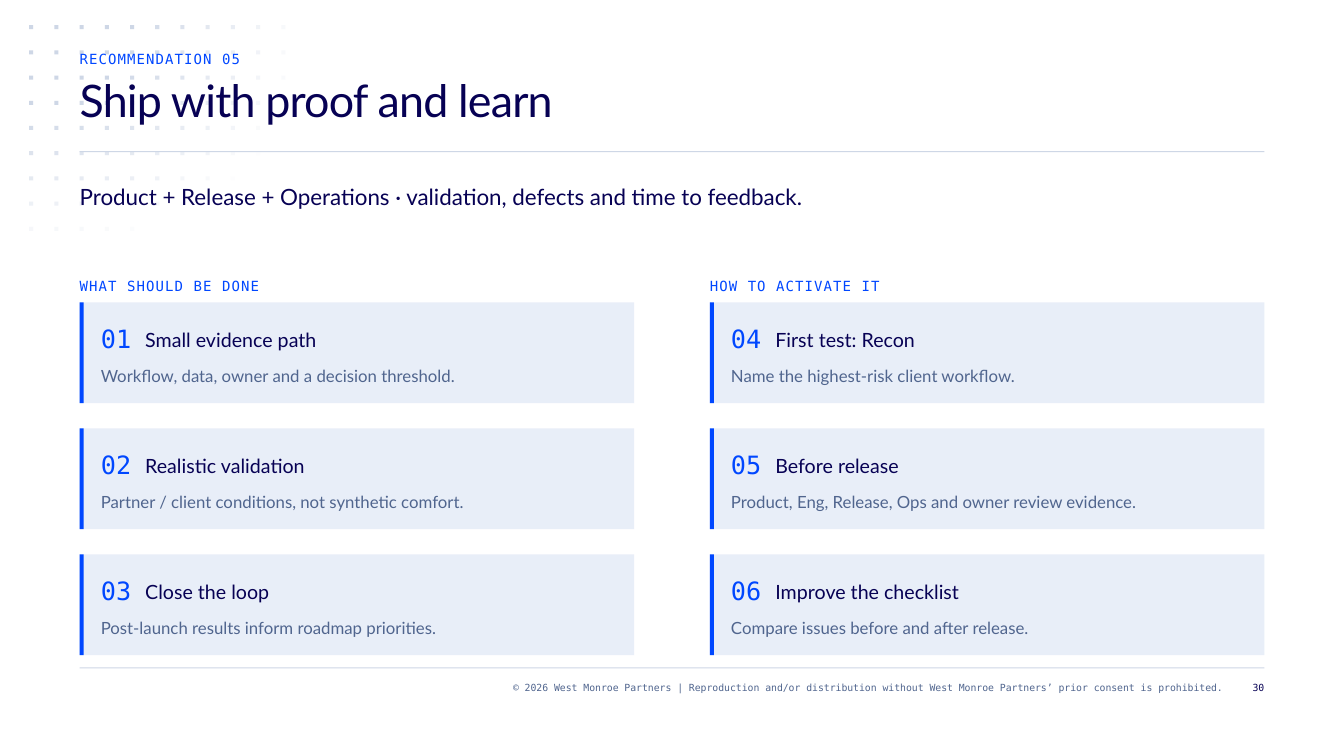
"""Build the slide on shipping with proof and learning from it."""

from dataclasses import dataclass
from math import hypot

from lxml.etree import SubElement
from pptx import Presentation
from pptx.dml.color import RGBColor
from pptx.enum.shapes import MSO_SHAPE
from pptx.enum.text import PP_ALIGN
from pptx.oxml.ns import qn
from pptx.shapes.autoshape import Shape
from pptx.shapes.shapetree import GroupShapes, SlideShapes
from pptx.util import Inches, Pt

Canvas = SlideShapes | GroupShapes

NAVY = RGBColor(0x07, 0x01, 0x54)
BLUE = RGBColor(0x00, 0x47, 0xFF)
SLATE = RGBColor(0x50, 0x65, 0x8E)
MIST = RGBColor(0xCE, 0xD7, 0xE6)
PANEL = RGBColor(0xE8, 0xEE, 0xF8)
SANS = "Lato"
MONO = "DejaVu Sans Mono"

MARGIN = 0.79
CONTENT_WIDTH = 11.75
COLUMN_WIDTH = 5.5
COLUMN_STEP = 6.25
CARD_TOP = 3.0
CARD_STEP = 1.25
CARD_HEIGHT = 1.0
DOT_COLUMNS, DOT_ROWS = 11, 9
DOT_STEP = 0.25
FADE_COLUMNS, FADE_ROWS = 11.08, 9.08
FADE_STRENGTH = 153


@dataclass(frozen=True)
class TextStyle:
    font: str
    size: float
    color: RGBColor
    line: float
    spacing: float = 0
    align: PP_ALIGN = PP_ALIGN.LEFT


@dataclass(frozen=True)
class Card:
    title: str
    detail: str


@dataclass(frozen=True)
class Column:
    heading: str
    cards: tuple[Card, ...]


LABEL = TextStyle(MONO, 10, BLUE, 12, 0.8)
TITLE = TextStyle(SANS, 32, NAVY, 36, -0.6)
SUBTITLE = TextStyle(SANS, 16, NAVY, 24)
NUMBER = TextStyle(MONO, 18, BLUE, 24)
CARD_TITLE = TextStyle(SANS, 14, NAVY, 21)
CARD_DETAIL = TextStyle(SANS, 12, SLATE, 18)
COPYRIGHT = TextStyle(MONO, 7, SLATE, 9, align=PP_ALIGN.RIGHT)
PAGE_NUMBER = TextStyle(MONO, 7, NAVY, 9, align=PP_ALIGN.RIGHT)

COLUMNS = (
    Column("WHAT SHOULD BE DONE", (
        Card("Small evidence path", "Workflow, data, owner and a decision threshold."),
        Card("Realistic validation", "Partner / client conditions, not synthetic comfort."),
        Card("Close the loop", "Post-launch results inform roadmap priorities."),
    )),
    Column("HOW TO ACTIVATE IT", (
        Card("First test: Recon", "Name the highest-risk client workflow."),
        Card("Before release", "Product, Eng, Release, Ops and owner review evidence."),
        Card("Improve the checklist", "Compare issues before and after release."),
    )),
)


def add_block(canvas: Canvas, left: float, top: float, width: float, height: float,
              color: RGBColor) -> Shape:
    """Draw a plain filled rectangle."""
    block = canvas.add_shape(MSO_SHAPE.RECTANGLE, Inches(left), Inches(top),
                             Inches(width), Inches(height))
    block.shadow.inherit = False
    block.fill.solid()
    block.fill.fore_color.rgb = color
    block.line.fill.background()
    return block


def add_text(canvas: Canvas, left: float, top: float, width: float, height: float,
             text: str, style: TextStyle) -> None:
    """Place one styled line of text without insets."""
    box = canvas.add_textbox(Inches(left), Inches(top), Inches(width), Inches(height))
    frame = box.text_frame
    frame.word_wrap = True
    frame.margin_left = frame.margin_right = frame.margin_top = frame.margin_bottom = 0
    para = frame.paragraphs[0]
    para.alignment = style.align
    para.line_spacing = Pt(style.line)
    span = para.add_run()
    span.text = text
    span.font.name = style.font
    span.font.size = Pt(style.size)
    span.font.color.rgb = style.color
    if style.spacing:
        span._r.get_or_add_rPr().set("spc", str(round(style.spacing * 100)))


def add_dots(canvas: Canvas) -> None:
    """Draw the dot grid that fades away from its top left corner."""
    for column in range(DOT_COLUMNS):
        for row in range(DOT_ROWS):
            distance = hypot(column / FADE_COLUMNS, row / FADE_ROWS)
            opacity = min(100, round(FADE_STRENGTH * (1 - distance)))
            if opacity <= 2:
                continue
            dot = add_block(canvas, 0.29 + column * DOT_STEP, 0.25 + row * DOT_STEP,
                            0.04, 0.04, MIST)
            color = dot._element.spPr.find(f".//{qn('a:srgbClr')}")
            SubElement(color, qn("a:alpha")).set("val", str(opacity * 1000))


def add_card(canvas: Canvas, left: float, top: float, number: int, card: Card) -> None:
    """Draw one numbered card as a group."""
    group = canvas.add_group_shape().shapes
    add_block(group, left, top, COLUMN_WIDTH, CARD_HEIGHT, PANEL)
    add_block(group, left, top, 0.04, CARD_HEIGHT, BLUE)
    add_text(group, left + 0.21, top + 0.17, 0.31, 0.33, f"{number:02}", NUMBER)
    add_text(group, left + 0.65, top + 0.19, 4.69, 0.29, card.title, CARD_TITLE)
    add_text(group, left + 0.21, top + 0.58, 5.12, 0.25, card.detail, CARD_DETAIL)


def main() -> None:
    """Assemble and save the deck."""
    deck = Presentation()
    deck.slide_width, deck.slide_height = Inches(13.33), Inches(7.5)
    page = deck.slides.add_slide(deck.slide_layouts[6])
    canvas = page.shapes

    add_dots(canvas)
    for top in (1.5, 6.62):
        add_block(canvas, MARGIN, top, CONTENT_WIDTH, 0.01, MIST)
    add_text(canvas, 2.38, 6.75, 9.75, 0.25,
             "© 2026 West Monroe Partners | Reproduction and/or distribution without "
             "West Monroe Partners’ prior consent is prohibited.", COPYRIGHT)
    add_text(canvas, MARGIN, 0.5, CONTENT_WIDTH, 0.17, "RECOMMENDATION 05", LABEL)
    add_text(canvas, MARGIN, 0.75, CONTENT_WIDTH, 0.75, "Ship with proof and learn", TITLE)
    add_text(canvas, 12.21, 6.75, 0.33, 0.25, "30", PAGE_NUMBER)
    add_text(canvas, MARGIN, 1.75, CONTENT_WIDTH, 0.33,
             "Product + Release + Operations · validation, defects and time to feedback.",
             SUBTITLE)

    number = 0
    for index, column in enumerate(COLUMNS):
        left = MARGIN + index * COLUMN_STEP
        add_text(canvas, left, 2.75, COLUMN_WIDTH, 0.17, column.heading, LABEL)
        for row, card in enumerate(column.cards):
            number += 1
            add_card(canvas, left, CARD_TOP + row * CARD_STEP, number, card)

    deck.save("out.pptx")


if __name__ == "__main__":
    main()
